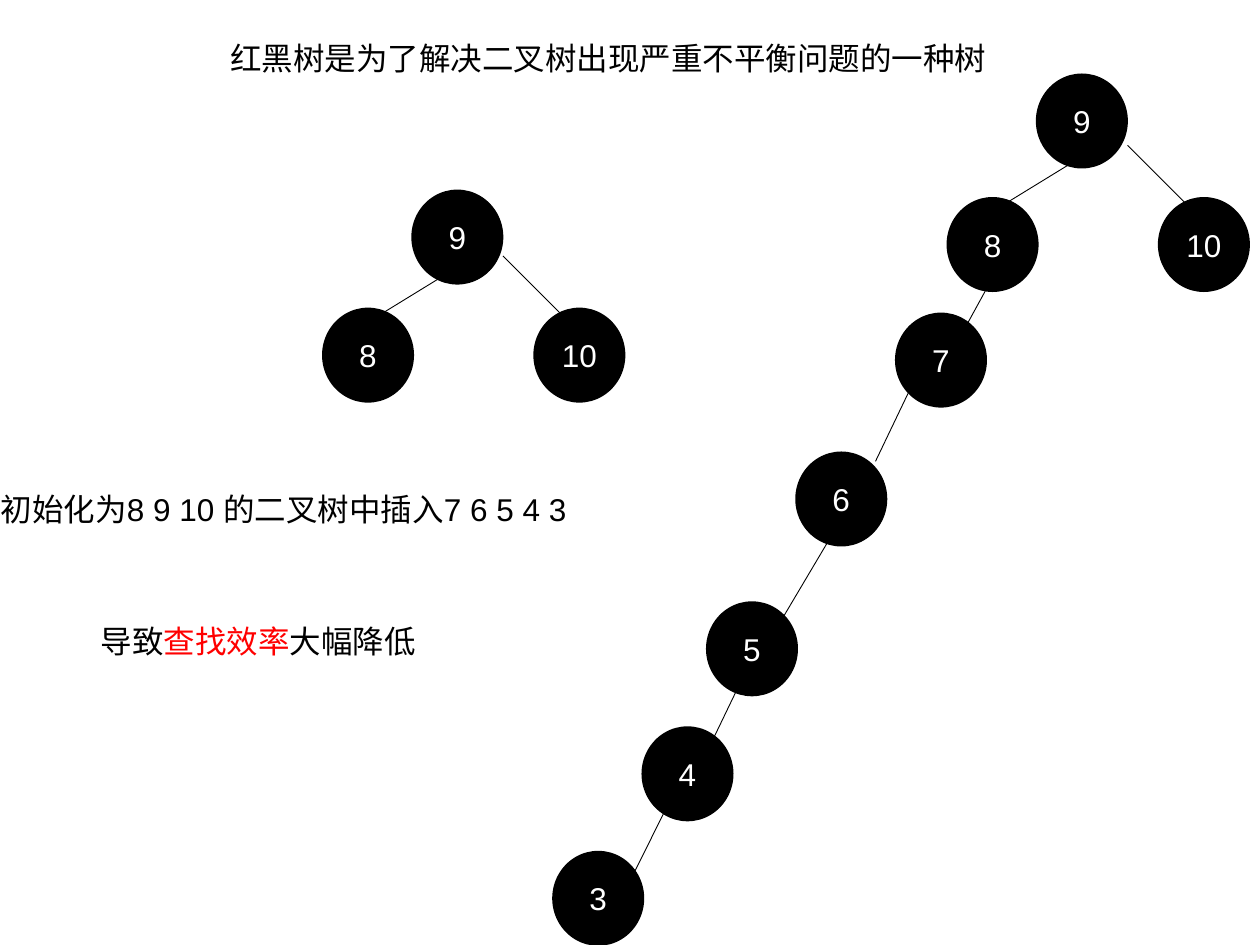
from lxml import etree
from pptx import Presentation
from pptx.dml.color import RGBColor
from pptx.enum.shapes import MSO_CONNECTOR, MSO_SHAPE
from pptx.enum.text import MSO_ANCHOR, MSO_AUTO_SIZE, PP_ALIGN
from pptx.oxml.ns import qn
from pptx.util import Cm, Pt

OVAL = MSO_SHAPE.OVAL
STRAIGHT = MSO_CONNECTOR.STRAIGHT
MIDDLE = MSO_ANCHOR.MIDDLE
CENTER = PP_ALIGN.CENTER
FIT = MSO_AUTO_SIZE.SHAPE_TO_FIT_TEXT

COLORS = {"black": "000000", "white": "FFFFFF", "red": "FF0000"}


def rgb(name):
    return RGBColor.from_string(COLORS[name])


def add_run(p, text, color="black", size=18, font="Arial"):
    r = p.add_run()
    r.text = text
    r.font.name = font
    r.font.size = Pt(size)
    r.font.color.rgb = rgb(color)


class TreeSlide:
    """Style and drawing methods for one slide; lengths in centimetres."""

    node_w, node_h = 1.82, 1.88

    def __init__(self, s):
        self.s = s

    def text(self, x, y, w, *runs):
        tf = self.s.shapes.add_textbox(Cm(x), Cm(y), Cm(w), Cm(1.02)).text_frame
        tf.word_wrap = False
        tf.auto_size = FIT
        for text, color in runs:
            add_run(tf.paragraphs[0], text, color=color)

    def node(self, label, x, y):
        sp = self.s.shapes.add_shape(OVAL, Cm(x), Cm(y), Cm(self.node_w), Cm(self.node_h))
        sp.shadow.inherit = False
        sp.fill.solid()
        sp.fill.fore_color.rgb = rgb("black")
        sp.line.color.rgb = rgb("black")
        sp.line.width = Pt(1)
        tf = sp.text_frame
        tf.vertical_anchor = MIDDLE
        p = tf.paragraphs[0]
        p.alignment = CENTER
        add_run(p, label, color="white")

    def edge(self, x1, y1, x2, y2):
        line = self.s.shapes.add_connector(STRAIGHT, Cm(x1), Cm(y1), Cm(x2), Cm(y2))
        line.line.color.rgb = rgb("black")
        line.line.width = Pt(0.5)
        etree.SubElement(line._element.spPr, qn("a:effectLst"))

    def family(self, x, y, drop):
        """Root 9 with children 8 and 10, which sit `drop` below it."""
        child_y = y + drop
        self.node("9", x, y)
        self.node("8", x - 1.8, child_y)
        self.node("10", x + 2.46, child_y)
        self.edge(x + 0.63, child_y - 0.66, x - 0.61, child_y + 0.1)
        self.edge(x + 1.83, child_y - 1.06, x + 3.2, child_y + 0.31)


def main():
    prs = Presentation()
    prs.slide_width, prs.slide_height = Cm(25.4), Cm(19.05)
    tree = TreeSlide(prs.slides.add_slide(prs.slide_layouts[6]))

    # Heading and remarks
    tree.text(4.39, 0.66, 15.75, ("红黑树是为了解决二叉树出现严重不平衡问题的一种树", "black"))
    tree.text(-0.23, 9.75, 12.34, ("初始化为8 9 10 的二叉树中插入7 6 5 4 3", "black"))
    tree.text(1.78, 12.42, 6.86,
              ("导致", "black"), ("查找效率", "red"), ("大幅降低", "black"))

    # Initial tree, and the top of the unbalanced one
    tree.family(8.31, 3.84, drop=2.38)
    tree.family(20.9, 1.5, drop=2.49)

    # Inserted nodes, each with the edge from its parent
    inserted = [
        ("7", (18.06, 6.32), (19.86, 5.87, 19.46, 6.6)),
        ("6", (16.05, 9.12), (18.31, 7.92, 17.65, 9.3)),
        ("5", (14.25, 12.14), (16.69, 10.92, 15.8, 12.42)),
        ("4", (12.95, 14.66), (14.91, 13.79, 14.25, 15.16)),
        ("3", (11.15, 17.17), (13.46, 16.23, 12.78, 17.6)),
    ]
    for label, position, ends in inserted:
        tree.node(label, *position)
        tree.edge(*ends)

    prs.save("out.pptx")


if __name__ == "__main__":
    main()
